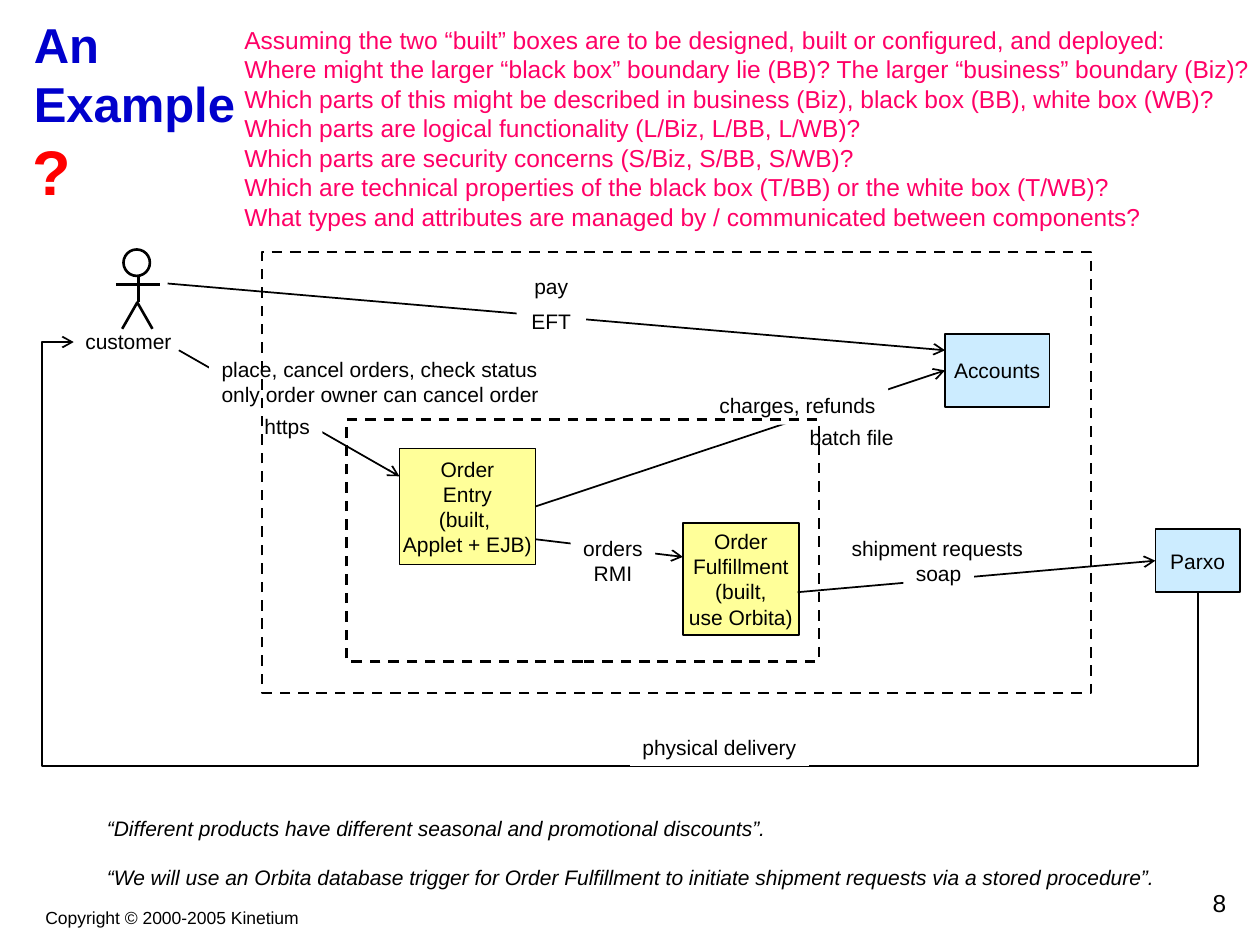
import pptx
import pptx.util
import pptx.dml.color
import pptx.enum.dml
import pptx.enum.shapes
import pptx.enum.text
import pptx.oxml.ns
from lxml import etree

Inches = pptx.util.Inches
Pt = pptx.util.Pt
RGBColor = pptx.dml.color.RGBColor
Align = pptx.enum.text.PP_ALIGN
Anchor = pptx.enum.text.MSO_ANCHOR
AutoSize = pptx.enum.text.MSO_AUTO_SIZE
Shape = pptx.enum.shapes.MSO_SHAPE
Connector = pptx.enum.shapes.MSO_CONNECTOR
qn = pptx.oxml.ns.qn

BLACK = RGBColor(0x00, 0x00, 0x00)
WHITE = RGBColor(0xFF, 0xFF, 0xFF)
BLUE = RGBColor(0x00, 0x00, 0xCC)
RED = RGBColor(0xFF, 0x00, 0x00)
PINK = RGBColor(0xFF, 0x00, 0x66)
YELLOW = RGBColor(0xFF, 0xFF, 0x99)
PALE_BLUE = RGBColor(0xCC, 0xEC, 0xFF)

COPYRIGHT = "Copyright © 2000-2005 Kinetium"
TITLE = "An \vExample"
QUESTIONS = [
    "Assuming the two “built” boxes are to be designed, built or configured, and deployed:",
    "Where might the larger “black box” boundary lie (BB)? The larger “business” boundary (Biz)?",
    "Which parts of this might be described in business (Biz), black box (BB), white box (WB)?",
    "Which parts are logical functionality (L/Biz, L/BB, L/WB)?",
    "Which parts are security concerns (S/Biz, S/BB, S/WB)?",
    "Which are technical properties of the black box (T/BB) or the white box (T/WB)?",
    "What types and attributes are managed by / communicated between components?",
]
QUOTES = [
    "“Different products have different seasonal and promotional discounts”.",
    "“We will use an Orbita database trigger for Order Fulfillment to initiate "
    "shipment requests via a stored procedure”.",
]
COMPONENTS = {
    "entry": ("Order\nEntry\n(built, \nApplet + EJB)", YELLOW, (3.17, 3.56, 1.08, 0.92)),
    "fulfillment": ("Order\nFulfillment\n(built,\nuse Orbita)", YELLOW, (5.42, 4.15, 0.92, 0.89)),
    "courier": ("Parxo", PALE_BLUE, (9.17, 4.2, 0.67, 0.5)),
    "accounts": ("Accounts", PALE_BLUE, (7.5, 2.65, 0.83, 0.58)),
}
FLOWS = [
    ((4.25, 4.02), (7.5, 2.94), "entry", "accounts"),
    ((1.33, 2.25), (7.5, 2.78), None, None),
    ((4.25, 4.28), (5.42, 4.42), None, None),
    ((6.33, 4.7), (9.17, 4.45), None, "courier"),
    ((1.42, 2.78), (3.17, 3.78), None, None),
]
FLOW_LABELS = [
    ("batch file", (6.31, 3.32, 0.9, 0.3), Align.CENTER),
    ("physical delivery", (5, 5.78, 1.42, 0.3), Align.CENTER),
    ("EFT", (4.1, 2.4, 0.55, 0.3), Align.CENTER),
    ("https", (2, 3.23, 0.56, 0.3), Align.CENTER),
    ("soap", (7.17, 4.4, 0.56, 0.3), Align.CENTER),
    ("orders\nRMI", (4.53, 4.2, 0.67, 0.5), Align.CENTER),
    ("place, cancel orders, check status\nonly order owner can cancel order",
     (1.66, 2.78, 2.72, 0.5), Align.LEFT),
    ("charges, refunds", (5.61, 3.07, 1.44, 0.3), Align.CENTER),
    ("shipment requests", (6.66, 4.2, 1.56, 0.3), Align.CENTER),
    ("pay", (4.14, 2.12, 0.47, 0.3), Align.CENTER),
]
BOUNDARIES = [(2.75, 3.33, 3.75, 1.92), (2.08, 2, 6.58, 3.5)]


def write(shape, text, size=12, color=BLACK, align=Align.CENTER, anchor=Anchor.TOP,
          wrap=False, grow=True, bold=False, italic=False, gap=0):
    frame = shape.text_frame
    frame.text = text
    frame.word_wrap = wrap
    frame.auto_size = AutoSize.SHAPE_TO_FIT_TEXT if grow else AutoSize.NONE
    frame.vertical_anchor = anchor
    for index, paragraph in enumerate(frame.paragraphs):
        paragraph.alignment = align
        if index and gap:
            paragraph.space_before = Pt(gap)
        for run in paragraph.runs:
            run.font.name = "Arial"
            run.font.size = Pt(size)
            run.font.bold = bold
            run.font.italic = italic
            run.font.color.rgb = color


def add_text(shapes, text, box, **style):
    write(shapes.add_textbox(*map(Inches, box)), text, **style)


def outline(shape, width):
    shape.line.color.rgb = BLACK
    shape.line.width = Pt(width)


def add_outlined(shapes, kind, box, fill=None, line=None):
    shape = shapes.add_shape(kind, *map(Inches, box))
    shape.shadow.inherit = False
    if fill is None:
        shape.fill.background()
    else:
        shape.fill.solid()
        shape.fill.fore_color.rgb = fill
    if line is None:
        shape.line.fill.background()
    else:
        outline(shape, line)
    return shape


def add_line(shapes, start, end, width=1, arrow=False, kind=Connector.STRAIGHT):
    line = shapes.add_connector(kind, *map(Inches, start + end))
    outline(line, width)
    properties = line._element.spPr
    if arrow:
        etree.SubElement(properties.find(qn("a:ln")), qn("a:tailEnd"), type="arrow")
    etree.SubElement(properties, qn("a:effectLst"))
    return line


def add_customer(slide):
    customer = slide.shapes.add_group_shape().shapes
    add_outlined(customer, Shape.OVAL, (0.98, 1.98, 0.21, 0.21), line=1.5)
    add_line(customer, (1.1, 2.19), (1.1, 2.4), 1.5)
    add_line(customer, (0.92, 2.26), (1.27, 2.26), 1.5)
    builder = customer.build_freeform(Inches(0.97), Inches(2.61), scale=1.0)
    builder.add_line_segments([(Inches(1.09), Inches(2.4)), (Inches(1.21), Inches(2.61))],
                              close=False)
    legs = builder.convert_to_shape()
    legs.shadow.inherit = False
    legs.fill.background()
    outline(legs, 1.5)
    add_text(customer, "customer", (0.55, 2.56, 0.94, 0.3))


def add_delivery(slide):
    delivery = add_line(slide.shapes, (4.05, -0.75), (6.04, 8.17), arrow=True,
                        kind=Connector.ELBOW)
    properties = delivery._element.spPr
    transform = properties.find(qn("a:xfrm"))
    transform.set("rot", str(270 * 60000))
    transform.set("flipV", "1")
    geometry = properties.find(qn("a:prstGeom"))
    geometry.set("prst", "bentConnector4")
    adjustments = geometry.find(qn("a:avLst"))
    if adjustments is None:
        adjustments = etree.SubElement(geometry, qn("a:avLst"))
    for name, value in (("adj1", -69100), ("adj2", 102800)):
        etree.SubElement(adjustments, qn("a:gd"), name=name, fmla=f"val {value}")


def main():
    deck = pptx.Presentation()
    deck.slide_width, deck.slide_height = Inches(10), Inches(7.5)
    slide = deck.slides.add_slide(deck.slide_layouts[6])
    shapes = slide.shapes

    add_text(shapes, COPYRIGHT, (0.26, 7.15, 2.21, 0.27), size=10)
    add_text(shapes, TITLE, (0.17, 0.17, 2, 0.83), size=28, color=BLUE, bold=True,
             align=Align.LEFT, anchor=Anchor.MIDDLE, wrap=True, grow=False)
    components = {}
    for key, (text, fill, box) in COMPONENTS.items():
        components[key] = add_outlined(shapes, Shape.RECTANGLE, box, fill, 1)
        write(components[key], text, anchor=Anchor.MIDDLE, grow=False)
    add_customer(slide)
    add_text(shapes, "\n".join(QUESTIONS), (1.84, 0.15, 8.19, 1.74), size=14, color=PINK,
             align=Align.LEFT)

    add_delivery(slide)
    for start, end, source, target in FLOWS:
        flow = add_line(shapes, start, end, arrow=True)
        if source:
            flow.begin_connect(components[source], 3)
        if target:
            flow.end_connect(components[target], 1)
    for text, box, align in FLOW_LABELS:
        write(add_outlined(shapes, Shape.RECTANGLE, box, WHITE), text, align=align)
    for box in BOUNDARIES:
        boundary = add_outlined(shapes, Shape.RECTANGLE, box, line=1.5)
        boundary.line.dash_style = pptx.enum.dml.MSO_LINE.DASH

    quotes = add_outlined(shapes, Shape.RECTANGLE, (0.75, 6.42, 8.92, 0.7), WHITE)
    write(quotes, "\n".join(QUOTES), align=Align.LEFT, wrap=True, italic=True, gap=14)
    add_text(shapes, "?", (0.16, 1, 0.5, 0.7), size=36, color=RED, bold=True)
    add_text(shapes, "8", (7.75, 7, 2.08, 0.33), size=14, align=Align.RIGHT, wrap=True,
             grow=False)
    deck.save("out.pptx")


if __name__ == "__main__":
    main()
